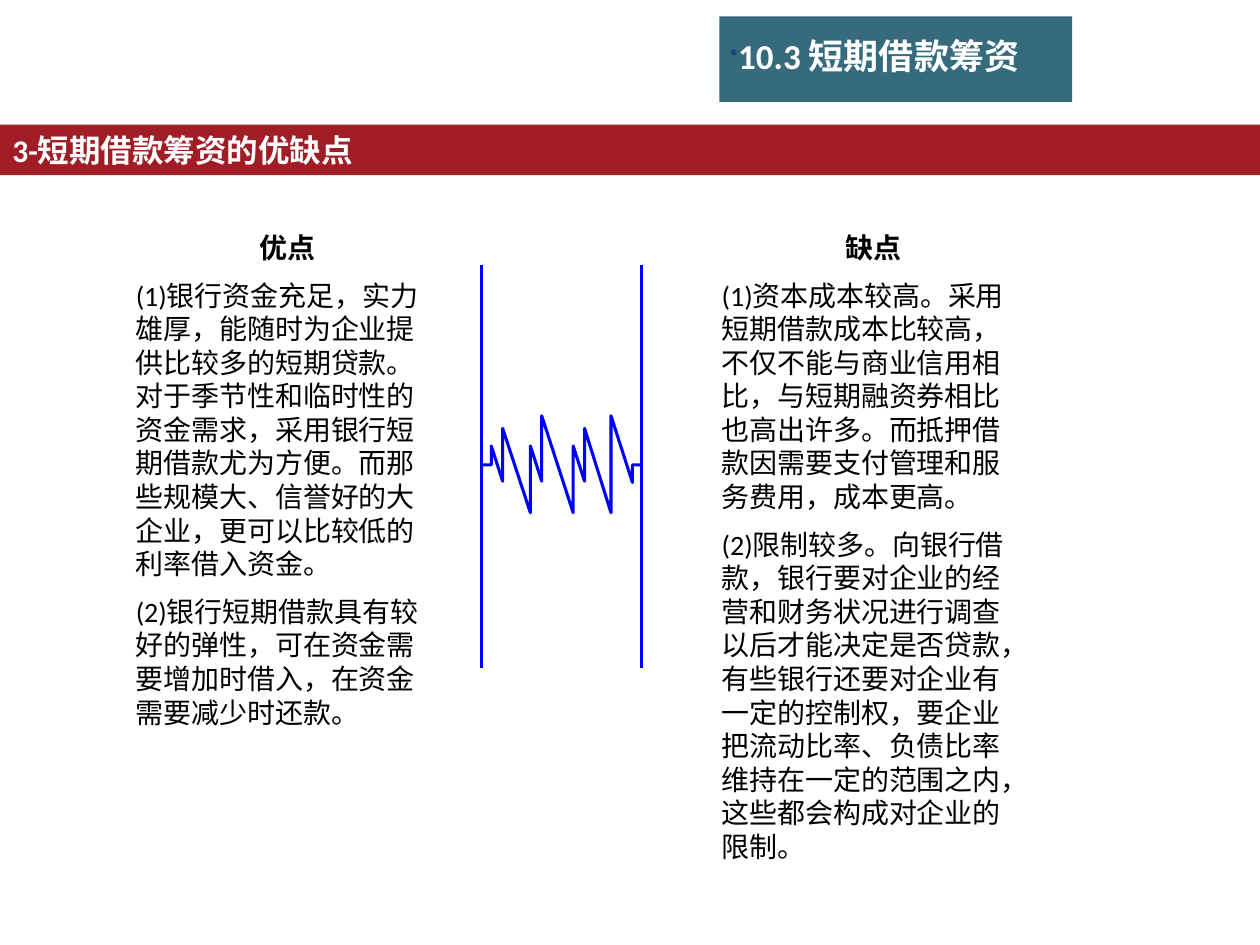
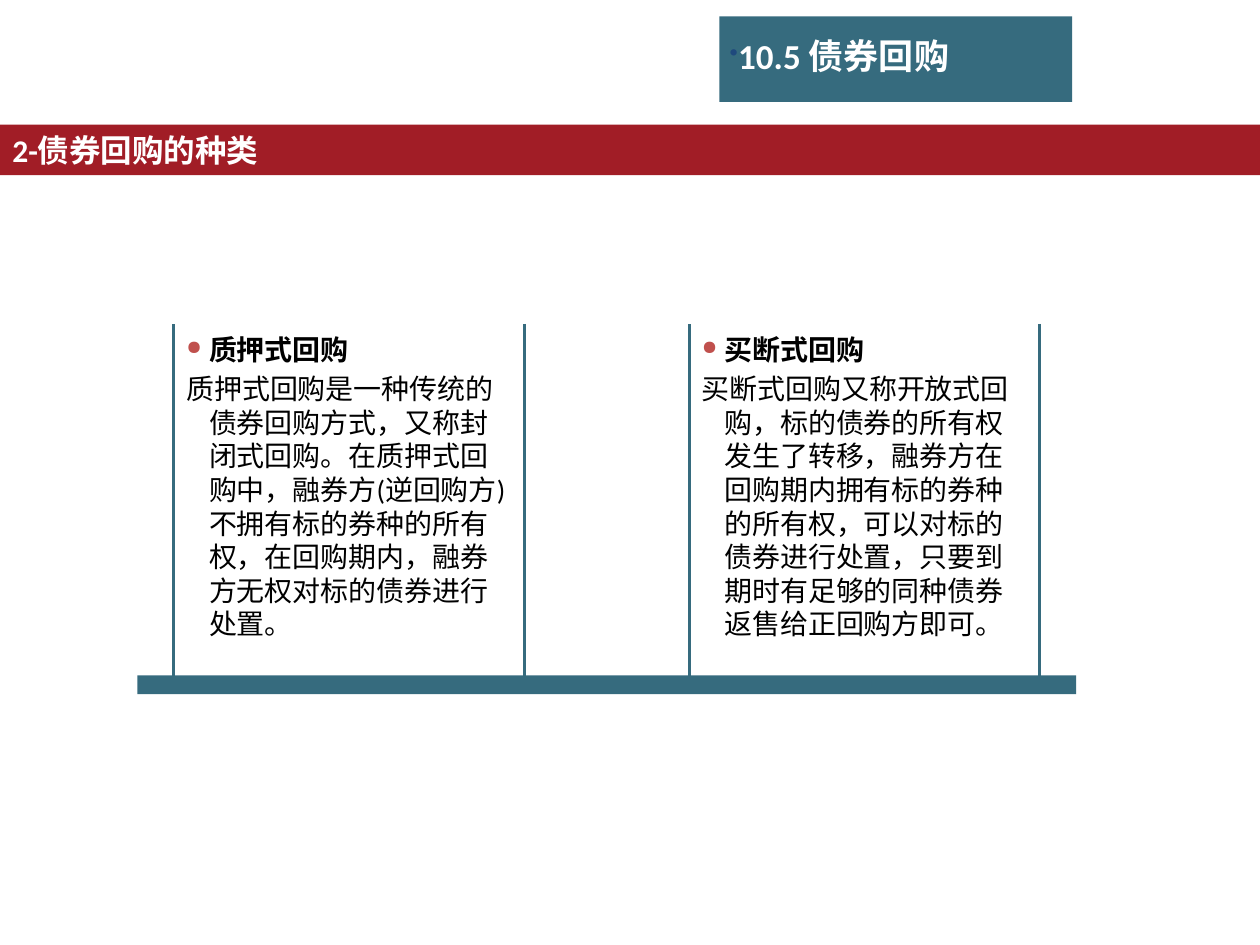
"""Build two finance slides: a loan comparison and the kinds of bond repo."""
from dataclasses import dataclass

from lxml import etree
from pptx import Presentation
from pptx.dml.color import RGBColor
from pptx.enum import shapes, text
from pptx.oxml import ns
from pptx.util import Inches, Pt


@dataclass(frozen=True)
class Theme:
    font: str = "Calibri"
    red: str = "A11D26"
    teal: str = "366B7E"
    blue: str = "0000FF"
    navy: str = "1F497D"
    coral: str = "C0504D"
    white: str = "FFFFFF"
    black: str = "000000"
    title: int = 20
    band: int = 18
    body: int = 16
    rule: float = 1.75


T = Theme()

LOAN = {
    "title": "10.3 短期借款筹资",
    "band": "3-短期借款筹资的优缺点",
    "cols": [
        ("优点", [
            "(1)银行资金充足，实力雄厚，能随时为企业提供比较多的短期贷款。"
            "对于季节性和临时性的资金需求，采用银行短期借款尤为方便。"
            "而那些规模大、信誉好的大企业，更可以比较低的利率借入资金。",
            "(2)银行短期借款具有较好的弹性，可在资金需要增加时借入，在资金需要减少时还款。",
        ]),
        ("缺点", [
            "(1)资本成本较高。采用短期借款成本比较高，不仅不能与商业信用相比，"
            "与短期融资券相比也高出许多。而抵押借款因需要支付管理和服务费用，成本更高。",
            "(2)限制较多。向银行借款，银行要对企业的经营和财务状况进行调查以后才能决定是否贷款，"
            "有些银行还要对企业有一定的控制权，要企业把流动比率、负债比率维持在一定的范围之内，"
            "这些都会构成对企业的限制。",
        ]),
    ],
}
REPO = {
    "title": "10.5 债券回购",
    "band": "2-债券回购的种类",
    "cols": [
        ("质押式回购",
         "质押式回购是一种传统的债券回购方式，又称封闭式回购。在质押式回购中，"
         "融券方(逆回购方)不拥有标的券种的所有权，在回购期内，融券方无权对标的债券进行处置。"),
        ("买断式回购",
         "买断式回购又称开放式回购，标的债券的所有权发生了转移，融券方在回购期内拥有标的券种的所有权，"
         "可以对标的债券进行处置，只要到期时有足够的同种债券返售给正回购方即可。"),
    ],
}
RAILS = (3.82, 5.09)
MID = 3.69
TEETH = [(3.9, 3.54, 3.82), (3.99, 3.4, 4.07), (4.21, 3.54, 3.82),
         (4.3, 3.3, 4.07), (4.55, 3.54, 3.82), (4.64, 3.4, 4.07),
         (4.85, 3.3, 3.83)]


def tint(hue):
    return RGBColor.from_string(hue)


def rect(page, box, hue):
    item = page.shapes.add_shape(shapes.MSO_SHAPE.RECTANGLE, *map(Inches, box))
    item.shadow.inherit = False
    item.fill.solid()
    item.fill.fore_color.rgb = tint(hue)
    item.line.fill.background()
    return item


def ink(line, hue):
    line.color.rgb = tint(hue)
    line.width = Pt(T.rule)


def label(page, box, inset=True):
    frame = page.shapes.add_textbox(*map(Inches, box)).text_frame
    frame.word_wrap = True
    if not inset:
        frame.margin_left = frame.margin_right = 0
        frame.margin_top = frame.margin_bottom = 0
    return frame


def write(frame, words, size, hue, bold=False, gap=0.5, center=False):
    para = frame.paragraphs[0]
    if para.runs:
        para = frame.add_paragraph()
    para.alignment = text.PP_ALIGN.CENTER if center else text.PP_ALIGN.LEFT
    para.space_before = Pt(size * gap)
    run = para.add_run()
    run.text = words
    run.font.name = T.font
    run.font.size = Pt(size)
    run.font.bold = bold
    run.font.color.rgb = tint(hue)
    return para


def hang(para, depth):
    props = para._p.get_or_add_pPr()
    props.set("marL", str(Inches(depth)))
    props.set("indent", str(-Inches(depth)))


def bullet(para, mark, hue):
    props = para._p.get_or_add_pPr()
    shade = etree.SubElement(props, ns.qn("a:buClr"))
    etree.SubElement(shade, ns.qn("a:srgbClr"), val=hue)
    etree.SubElement(props, ns.qn("a:buSzPct"), val="70000")
    etree.SubElement(props, ns.qn("a:buChar"), char=mark)


def start(deck, data):
    page = deck.slides.add_slide(deck.slide_layouts[6])
    band = rect(page, (0, 0.99, 10, 0.4), T.red).text_frame
    band.word_wrap = True
    band.vertical_anchor = text.MSO_ANCHOR.TOP
    write(band, data["band"], T.band, T.white, True)
    rect(page, (5.71, 0.13, 2.8, 0.68), T.teal)
    head = label(page, (5.79, 0.27, 2.75, 0.34), False)
    head.vertical_anchor = text.MSO_ANCHOR.MIDDLE
    para = write(head, data["title"], T.title, T.white, True, 0.2)
    bullet(para, "•", T.navy)
    return page


def spring(page):
    for x in RAILS:
        rail = page.shapes.add_connector(
            shapes.MSO_CONNECTOR.STRAIGHT, *map(Inches, (x, 2.1, x, 5.3)))
        ink(rail.line, T.blue)
        etree.SubElement(rail._element.spPr, ns.qn("a:effectLst"))
    dots = [(TEETH[0][0], MID)]
    ends = [tooth[0] for tooth in TEETH[1:]] + [5.02]
    for (x, top, low), end in zip(TEETH, ends):
        dots += [(x, top), (end, low)]
    dots += [(5.02, MID), (5.09, MID)]
    pen = page.shapes.build_freeform(Inches(3.83), Inches(MID))
    pen.add_line_segments([(Inches(x), Inches(y)) for x, y in dots], close=False)
    wave = pen.convert_to_shape()
    wave.shadow.inherit = False
    wave.fill.background()
    ink(wave.line, T.blue)


def loan(deck):
    page = start(deck, LOAN)
    spring(page)
    for x, high, (name, notes) in zip((0.98, 5.63), (4.11, 5.18), LOAN["cols"]):
        frame = label(page, (x, 1.78, 2.6, high))
        write(frame, name, T.body, T.black, True, center=True)
        for note in notes:
            write(frame, note, T.body, T.black)


def repo(deck):
    page = start(deck, REPO)
    rect(page, (1.09, 5.36, 7.45, 0.15), T.teal)
    for x, (name, note) in zip((1.38, 5.47), REPO["cols"]):
        sides = page.shapes.add_shape(
            shapes.MSO_SHAPE.DOUBLE_BRACKET, *map(Inches, (x, 2.57, 2.78, 2.81)))
        sides.adjustments[0] = 0
        sides.shadow.inherit = False
        sides.fill.background()
        ink(sides.line, T.teal)
        frame = label(page, (x + 0.1, 2.64, 2.6, 2.46), False)
        top = write(frame, name, T.body, T.black, True, 0.2)
        hang(top, 0.18)
        bullet(top, "●", T.coral)
        hang(write(frame, note, T.body, T.black, gap=0.2), 0.18)


def main():
    deck = Presentation()
    deck.slide_width, deck.slide_height = Inches(10), Inches(7.5)
    loan(deck)
    repo(deck)
    deck.save("out.pptx")


main()
